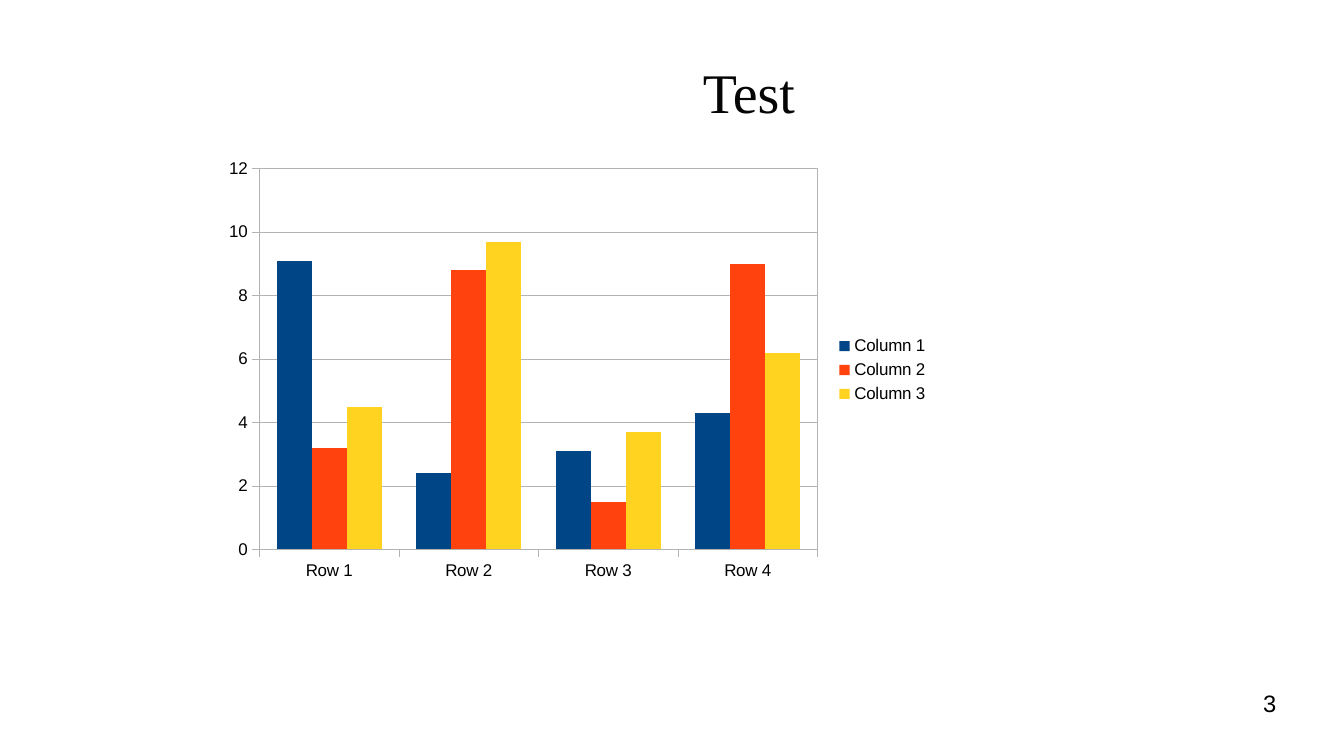
from lxml.etree import fromstring
from pptx import Presentation
from pptx.chart.data import CategoryChartData
from pptx.dml.color import RGBColor
from pptx.enum.chart import XL_CHART_TYPE as ChartType
from pptx.enum.chart import XL_LEGEND_POSITION as LegendPosition
from pptx.enum.chart import XL_TICK_MARK as TickMark
from pptx.enum.text import MSO_ANCHOR as Anchor
from pptx.enum.text import PP_ALIGN as Align
from pptx.oxml.ns import nsdecls, qn
from pptx.util import Cm, Pt

COLORS = {
    "background": "FFFFFF",
    "title": "050505",
    "text": "000000",
    "grid": "B3B3B3",
    "Column 1": "004586",
    "Column 2": "FF420E",
    "Column 3": "FFD320",
}
ROWS = ["Row 1", "Row 2", "Row 3", "Row 4"]
COLUMNS = {
    "Column 1": [9.1, 2.4, 3.1, 4.3],
    "Column 2": [3.2, 8.8, 1.5, 9],
    "Column 3": [4.5, 9.7, 3.7, 6.2],
}
PLOT_AREA = {"x": 0.06, "y": 0.04, "w": 0.77, "h": 0.87}


def rgb(name):
    return RGBColor.from_string(COLORS[name])


def style_font(font, name, size, color):
    font.name = name
    font.size = Pt(size)
    font.color.rgb = rgb(color)


def style_line(line):
    line.color.rgb = rgb("grid")
    line.width = Pt(0.5)


def add_text(slide, words, box, align, anchor, font, size, color):
    frame = slide.shapes.add_textbox(*map(Cm, box)).text_frame
    frame.word_wrap = True
    frame.vertical_anchor = anchor
    frame.margin_left = frame.margin_right = 0
    frame.margin_top = frame.margin_bottom = 0
    paragraph = frame.paragraphs[0]
    paragraph.alignment = align
    run = paragraph.add_run()
    run.text = words
    style_font(run.font, font, size, color)


def frame_plot_area(chart):
    """Fix the inner plot area and give it a thin border."""
    plot_area = chart._chartSpace.chart.plotArea
    for layout in plot_area.findall(qn("c:layout")):
        plot_area.remove(layout)
    bounds = "".join(f'<c:{side} val="{share}"/>' for side, share in PLOT_AREA.items())
    plot_area.insert(0, fromstring(
        f'<c:layout {nsdecls("c")}><c:manualLayout><c:layoutTarget val="inner"/>'
        f'<c:xMode val="edge"/><c:yMode val="edge"/>{bounds}'
        "</c:manualLayout></c:layout>"))
    plot_area.append(fromstring(
        f'<c:spPr {nsdecls("c", "a")}><a:noFill/><a:ln w="6350"><a:solidFill>'
        f'<a:srgbClr val="{COLORS["grid"]}"/></a:solidFill></a:ln></c:spPr>'))


def style_axis(axis):
    axis.major_tick_mark = TickMark.OUTSIDE
    axis.minor_tick_mark = TickMark.NONE
    style_line(axis.format.line)
    style_font(axis.tick_labels.font, "Arial", 10, "text")


def add_column_chart(slide, box):
    table = CategoryChartData()
    table.categories = ROWS
    for name, values in COLUMNS.items():
        table.add_series(name, values)
    chart = slide.shapes.add_chart(
        ChartType.COLUMN_CLUSTERED, *map(Cm, box), table).chart
    chart.has_title = False
    style_font(chart.font, "Arial", 10, "text")

    columns = chart.plots[0]
    columns.gap_width = 100
    columns.overlap = 0
    columns.vary_by_categories = False
    for series in columns.series:
        series.format.fill.solid()
        series.format.fill.fore_color.rgb = rgb(series.name)

    scale = chart.value_axis
    scale.minimum_scale, scale.maximum_scale, scale.major_unit = 0, 12, 2
    scale.has_major_gridlines = True
    style_line(scale.major_gridlines.format.line)
    for axis in (chart.category_axis, scale):
        style_axis(axis)

    chart.has_legend = True
    chart.legend.position = LegendPosition.RIGHT
    chart.legend.include_in_layout = False
    style_font(chart.legend.font, "Arial", 10, "text")
    frame_plot_area(chart)


def main():
    deck = Presentation()
    deck.slide_width, deck.slide_height = Cm(28), Cm(15.75)
    slide = deck.slides.add_slide(deck.slide_layouts[6])
    slide.background.fill.solid()
    slide.background.fill.fore_color.rgb = rgb("background")

    add_text(slide, "Test ", (4.5, 0.6, 22.5, 2.6), Align.CENTER, Anchor.MIDDLE,
             "Times New Roman", 33, "title")
    add_column_chart(slide, (4.5, 3.15, 15.1, 9.12))
    add_text(slide, "3", (20.07, 14.35, 6.52, 1.09), Align.RIGHT, Anchor.TOP,
             "Arial", 14, "text")
    deck.save("out.pptx")


if __name__ == "__main__":
    main()
